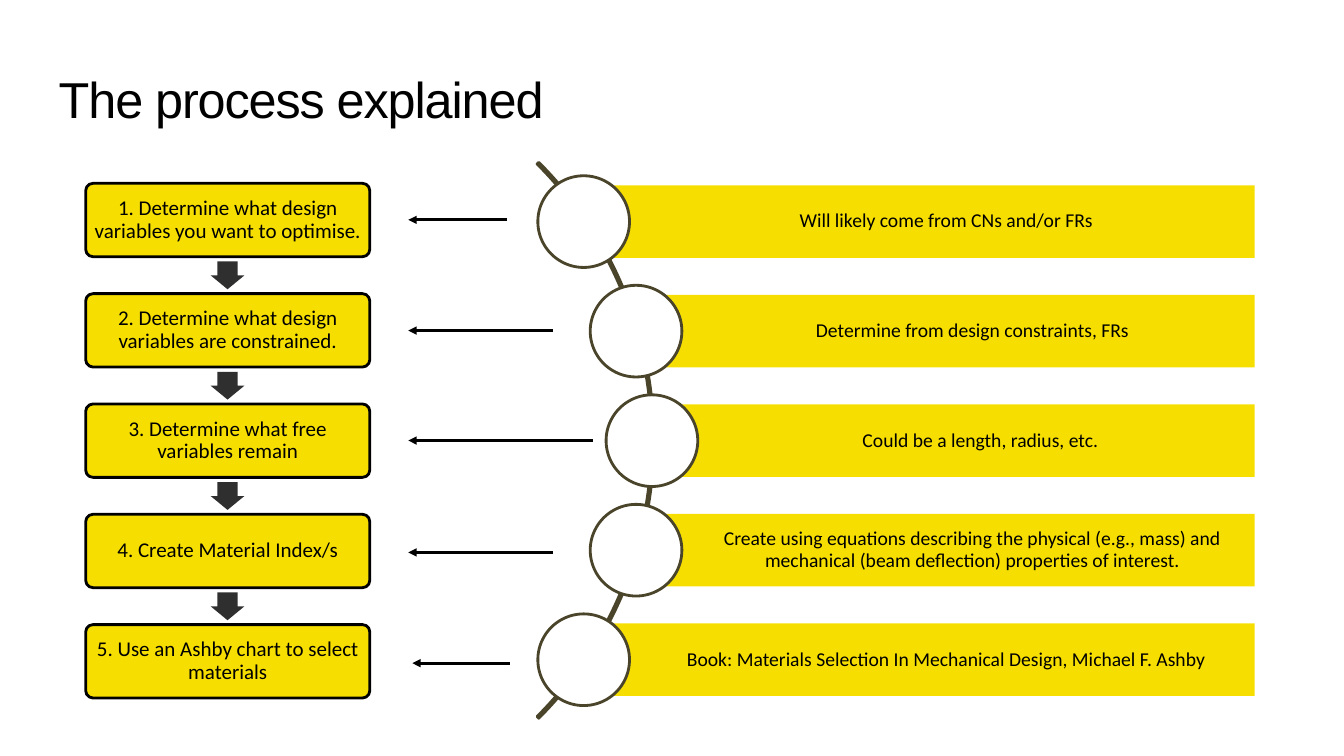
import pptx
import pptx.dml.color
import pptx.enum.shapes
import pptx.enum.text
import pptx.oxml.ns
import pptx.util
from lxml import etree

Cm = pptx.util.Cm
Pt = pptx.util.Pt
qn = pptx.oxml.ns.qn
SHAPE = pptx.enum.shapes.MSO_SHAPE
ALIGN = pptx.enum.text.PP_ALIGN
ANCHOR = pptx.enum.text.MSO_ANCHOR

BLACK, WHITE, YELLOW = "000000", "FFFFFF", "F6DF00"
CHARCOAL, OLIVE = "2F2F2F", "4A452A"

STEPS = [
    "1. Determine what design variables you want to optimise.",
    "2. Determine what design variables are constrained.",
    "3. Determine what free variables remain",
    "4. Create Material Index/s",
    "5. Use an Ashby chart to select materials",
]
NOTES = [
    "Will likely come from CNs and/or FRs",
    "Determine from design constraints, FRs",
    "Could be a length, radius, etc.",
    "Create using equations describing the physical (e.g., mass) and "
    "mechanical (beam deflection) properties of interest.",
    "Book: Materials Selection In Mechanical Design, Michael F. Ashby",
]
BAR_LEFTS = [14.71, 16.03, 16.43, 16.03, 14.71]
# start x, end x, y
POINTERS = [
    (12.78, 10.29, 5.54),
    (13.94, 10.29, 8.33),
    (14.94, 10.29, 11.1),
    (13.94, 10.29, 13.92),
    (12.85, 10.39, 16.71),
]


def rgb(value):
    return pptx.dml.color.RGBColor.from_string(value)


class ProcessSlide:
    """Current slide together with its fonts and line width."""

    title_font, body_font, line_width = "Arial", "Calibri", Pt(2)

    def __init__(self, prs):
        self.shapes = prs.slides.add_slide(prs.slide_layouts[6]).shapes

    def shape(self, kind, left, top, width, height, fill, line=None, adjust=()):
        sp = self.shapes.add_shape(kind, Cm(left), Cm(top), Cm(width), Cm(height))
        sp.shadow.inherit = False
        sp.fill.solid()
        sp.fill.fore_color.rgb = rgb(fill)
        if line:
            sp.line.color.rgb = rgb(line)
            sp.line.width = self.line_width
        else:
            sp.line.fill.background()
        for i, value in enumerate(adjust):
            sp.adjustments[i] = value
        return sp

    def label(self, sp, text, font, size, inset, left_inset=None,
              align=ALIGN.CENTER, anchor=ANCHOR.MIDDLE, spacing=0.9):
        tf = sp.text_frame
        tf.word_wrap = True
        tf.vertical_anchor = anchor
        tf.margin_left = Cm(left_inset or inset)
        tf.margin_top = tf.margin_right = tf.margin_bottom = Cm(inset)
        p = tf.paragraphs[0]
        p.alignment = align
        p.line_spacing = spacing
        r = p.add_run()
        r.text = text
        r.font.name = font
        r.font.size = Pt(size)
        r.font.color.rgb = rgb(BLACK)
        return r

    def title(self, text):
        sp = self.shapes.add_textbox(Cm(1.32), Cm(1.85), Cm(30.2), Cm(3.18))
        r = self.label(sp, text, self.title_font, 36, 0.16,
                       align=ALIGN.LEFT, anchor=ANCHOR.TOP, spacing=0.8)
        r.font._element.set("spc", "-80")

    def step(self, text, top):
        sp = self.shape(SHAPE.ROUNDED_RECTANGLE, 2.16, top, 7.16, 1.85,
                        YELLOW, BLACK, [0.1])
        self.label(sp, text, self.body_font, 15, 0.16)

    def down_arrow(self, top):
        self.shape(SHAPE.DOWN_ARROW, 5.31, top, 0.85, 0.7, CHARCOAL,
                   adjust=[0.6, 0.5])

    def arc(self):
        self.shape(SHAPE.BLOCK_ARC, -3.33, 1.19, 19.81, 19.81, OLIVE, OLIVE,
                   [189, 27, 0.003])

    def note(self, text, left, top):
        """Bar with a circle centred on its left edge."""
        height, diameter = 1.83, 2.31
        sp = self.shape(SHAPE.RECTANGLE, left, top, 31.62 - left, height, YELLOW)
        self.label(sp, text, self.body_font, 14, 0.1, left_inset=1.47)
        self.shape(SHAPE.OVAL, left - diameter / 2, top + (height - diameter) / 2,
                   diameter, diameter, WHITE, OLIVE)

    def pointer(self, start, end, y):
        line = self.shapes.add_connector(
            pptx.enum.shapes.MSO_CONNECTOR.STRAIGHT,
            Cm(start), Cm(y), Cm(end), Cm(y))
        line.line.color.rgb = rgb(BLACK)
        line.line.width = self.line_width
        etree.SubElement(line.line._get_or_add_ln(), qn("a:tailEnd"), type="triangle")
        etree.SubElement(line._element.spPr, qn("a:effectLst"))


def main():
    prs = pptx.Presentation()
    prs.slide_width, prs.slide_height = Cm(33.87), Cm(19.05)
    s = ProcessSlide(prs)
    s.title("The process explained")
    for i, text in enumerate(STEPS):
        top = 4.62 + 2.78 * i
        s.step(text, top)
        if i < len(STEPS) - 1:
            s.down_arrow(top + 1.97)
    s.arc()
    for i, (text, left) in enumerate(zip(NOTES, BAR_LEFTS)):
        s.note(text, left, 4.67 + 2.76 * i)
    for start, end, y in POINTERS:
        s.pointer(start, end, y)
    prs.save("out.pptx")


if __name__ == "__main__":
    main()
